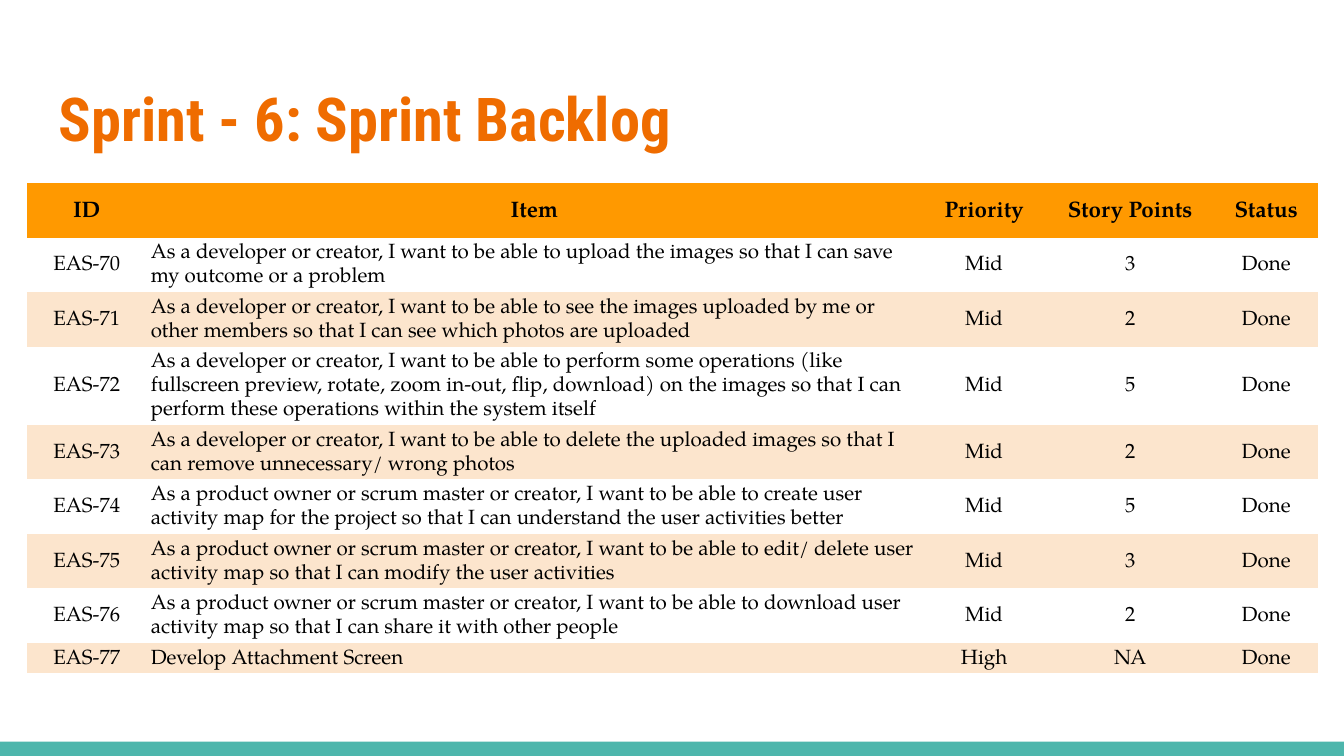
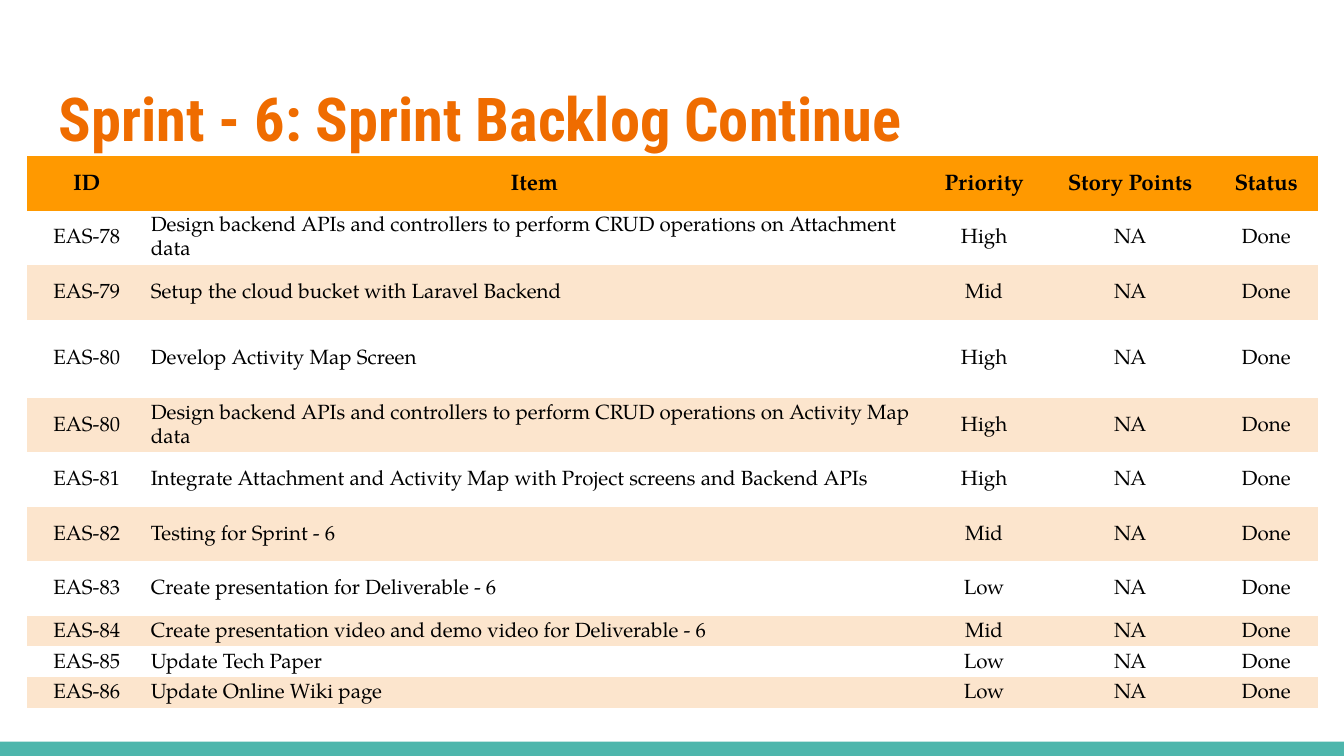
from typing import NamedTuple

from pptx import Presentation
from pptx.dml.color import RGBColor
from pptx.enum.shapes import MSO_SHAPE
from pptx.enum.text import MSO_ANCHOR, MSO_AUTO_SIZE, PP_ALIGN
from pptx.oxml.ns import qn
from pptx.slide import Slide
from pptx.table import _Cell
from pptx.util import Cm, Pt

WHITE = "FFFFFF"
BLACK = "000000"
TITLE_ORANGE = "EF6C00"
HEADER_ORANGE = "FF9900"
STRIPE_PEACH = "FCE5CD"
FOOTER_TEAL = "4DB6AC"

TITLE_FONT = "Roboto Condensed"
TABLE_FONT = "TeX Gyre Pagella"
PLAIN_TABLE_STYLE = "{2D5ABB26-0587-4C30-8999-92F81FD0307C}"

SLIDE_WIDTH = Cm(25.4)
SLIDE_HEIGHT = Cm(14.29)
FOOTER_HEIGHT = Cm(0.27)
TABLE_LEFT = Cm(0.51)

SHORT_ROW = Cm(0.58)
NORMAL_ROW = Cm(1.03)
TALL_ROW = Cm(1.48)
FIRST_ROWS = [NORMAL_ROW] * 3 + [TALL_ROW] + [NORMAL_ROW] * 4


class Column(NamedTuple):
    heading: str
    width: int
    align: PP_ALIGN = PP_ALIGN.CENTER


class Story(NamedTuple):
    key: str
    item: str
    priority: str
    points: str = "NA"
    status: str = "Done"


class Backlog(NamedTuple):
    title: str
    table_top: int
    stories: list[Story]


COLUMNS = [
    Column("ID", Cm(2.26)),
    Column("Item", Cm(14.66), PP_ALIGN.LEFT),
    Column("Priority", Cm(2.34)),
    Column("Story Points", Cm(3.18)),
    Column("Status", Cm(1.96)),
]

BACKLOGS = [
    Backlog("Sprint - 6: Sprint Backlog", Cm(3.46), [
        Story("EAS-70", "As a developer or creator, I want to be able to upload the images "
              "so that I can save my outcome or a problem", "Mid", "3"),
        Story("EAS-71", "As a developer or creator, I want to be able to see the images "
              "uploaded by me or other members so that I can see which photos are uploaded",
              "Mid", "2"),
        Story("EAS-72", "As a developer or creator, I want to be able to perform some "
              "operations (like fullscreen preview, rotate, zoom in-out, flip, download) on "
              "the images so that I can perform these operations within the system itself",
              "Mid", "5"),
        Story("EAS-73", "As a developer or creator, I want to be able to delete the uploaded "
              "images so that I can remove unnecessary/ wrong photos", "Mid", "2"),
        Story("EAS-74", "As a product owner or scrum master or creator, I want to be able to "
              "create user activity map for the project so that I can understand the user "
              "activities better", "Mid", "5"),
        Story("EAS-75", "As a product owner or scrum master or creator, I want to be able to "
              "edit/ delete user activity map so that I can modify the user activities",
              "Mid", "3"),
        Story("EAS-76", "As a product owner or scrum master or creator, I want to be able to "
              "download user activity map so that I can share it with other people",
              "Mid", "2"),
        Story("EAS-77", "Develop Attachment Screen", "High"),
    ]),
    Backlog("Sprint - 6: Sprint Backlog Continue", Cm(2.95), [
        Story("EAS-78", "Design backend APIs and controllers to perform CRUD operations on "
              "Attachment data", "High"),
        Story("EAS-79", "Setup the cloud bucket with Laravel Backend", "Mid"),
        Story("EAS-80", "Develop Activity Map Screen", "High"),
        Story("EAS-80", "Design backend APIs and controllers to perform CRUD operations on "
              "Activity Map data", "High"),
        Story("EAS-81", "Integrate Attachment and Activity Map with Project screens and "
              "Backend APIs", "High"),
        Story("EAS-82", "Testing for Sprint - 6", "Mid"),
        Story("EAS-83", "Create presentation for Deliverable - 6", "Low"),
        Story("EAS-84", "Create presentation video and demo video for Deliverable - 6", "Mid"),
        Story("EAS-85", "Update Tech Paper", "Low"),
        Story("EAS-86", "Update Online Wiki page", "Low"),
    ]),
]


def paint(target, color: str) -> None:
    """Give a fill or a font one solid colour."""
    if hasattr(target, "solid"):
        target.solid()
        target.fore_color.rgb = RGBColor.from_string(color)
    else:
        target.color.rgb = RGBColor.from_string(color)


def add_footer_band(slide: Slide) -> None:
    band = slide.shapes.add_shape(
        MSO_SHAPE.RECTANGLE, 0, SLIDE_HEIGHT - FOOTER_HEIGHT, SLIDE_WIDTH, FOOTER_HEIGHT)
    paint(band.fill, FOOTER_TEAL)
    band.line.fill.background()
    band.shadow.inherit = False


def set_title(slide: Slide, wording: str) -> None:
    title = slide.shapes.title
    title.left, title.top, title.width, title.height = Cm(0.86), Cm(1.24), Cm(23.67), Cm(1.96)
    frame = title.text_frame
    frame.text = wording
    frame.word_wrap = True
    frame.auto_size = MSO_AUTO_SIZE.NONE
    frame.vertical_anchor = MSO_ANCHOR.MIDDLE
    frame.margin_left = frame.margin_right = Cm(0.25)
    frame.margin_top = frame.margin_bottom = Cm(0.25)
    heading = frame.paragraphs[0]
    heading.alignment = PP_ALIGN.LEFT
    heading.font.name = TITLE_FONT
    heading.font.size = Pt(32.4)
    heading.font.bold = True
    paint(heading.font, TITLE_ORANGE)


def fill_cell(cell: _Cell, wording: str, align: PP_ALIGN, is_header: bool) -> None:
    cell.text = wording
    cell.vertical_anchor = MSO_ANCHOR.MIDDLE
    cell.margin_left = cell.margin_right = Cm(0.08)
    cell.margin_top = cell.margin_bottom = Cm(0.05)
    paragraph = cell.text_frame.paragraphs[0]
    paragraph.alignment = align
    paragraph.line_spacing = 1.15
    paragraph.font.name = TABLE_FONT
    paragraph.font.size = Pt(12 if is_header else 11)
    paragraph.font.bold = is_header
    paint(paragraph.font, BLACK)


def add_backlog_table(slide: Slide, backlog: Backlog) -> None:
    lines = [tuple(column.heading for column in COLUMNS), *backlog.stories]
    heights = FIRST_ROWS + [SHORT_ROW] * (len(lines) - len(FIRST_ROWS))
    frame = slide.shapes.add_table(
        len(lines), len(COLUMNS), TABLE_LEFT, backlog.table_top,
        sum(column.width for column in COLUMNS), sum(heights))
    frame.element.find(".//" + qn("a:tableStyleId")).text = PLAIN_TABLE_STYLE
    table = frame.table
    table.first_row = table.horz_banding = False

    for index, column in enumerate(COLUMNS):
        table.columns[index].width = column.width
    for row, (line, height) in enumerate(zip(lines, heights)):
        table.rows[row].height = height
        is_header = row == 0
        for index, (column, wording) in enumerate(zip(COLUMNS, line)):
            cell = table.cell(row, index)
            align = PP_ALIGN.CENTER if is_header else column.align
            fill_cell(cell, wording, align, is_header)
            if is_header:
                paint(cell.fill, HEADER_ORANGE)
            elif row % 2 == 0:
                paint(cell.fill, STRIPE_PEACH)
            else:
                cell.fill.background()


def main() -> None:
    deck = Presentation()
    deck.slide_width, deck.slide_height = SLIDE_WIDTH, SLIDE_HEIGHT
    paint(deck.slide_master.background.fill, WHITE)
    title_only = deck.slide_layouts[5]
    for backlog in BACKLOGS:
        slide = deck.slides.add_slide(title_only)
        add_footer_band(slide)
        set_title(slide, backlog.title)
        add_backlog_table(slide, backlog)
    deck.save("out.pptx")


if __name__ == "__main__":
    main()
